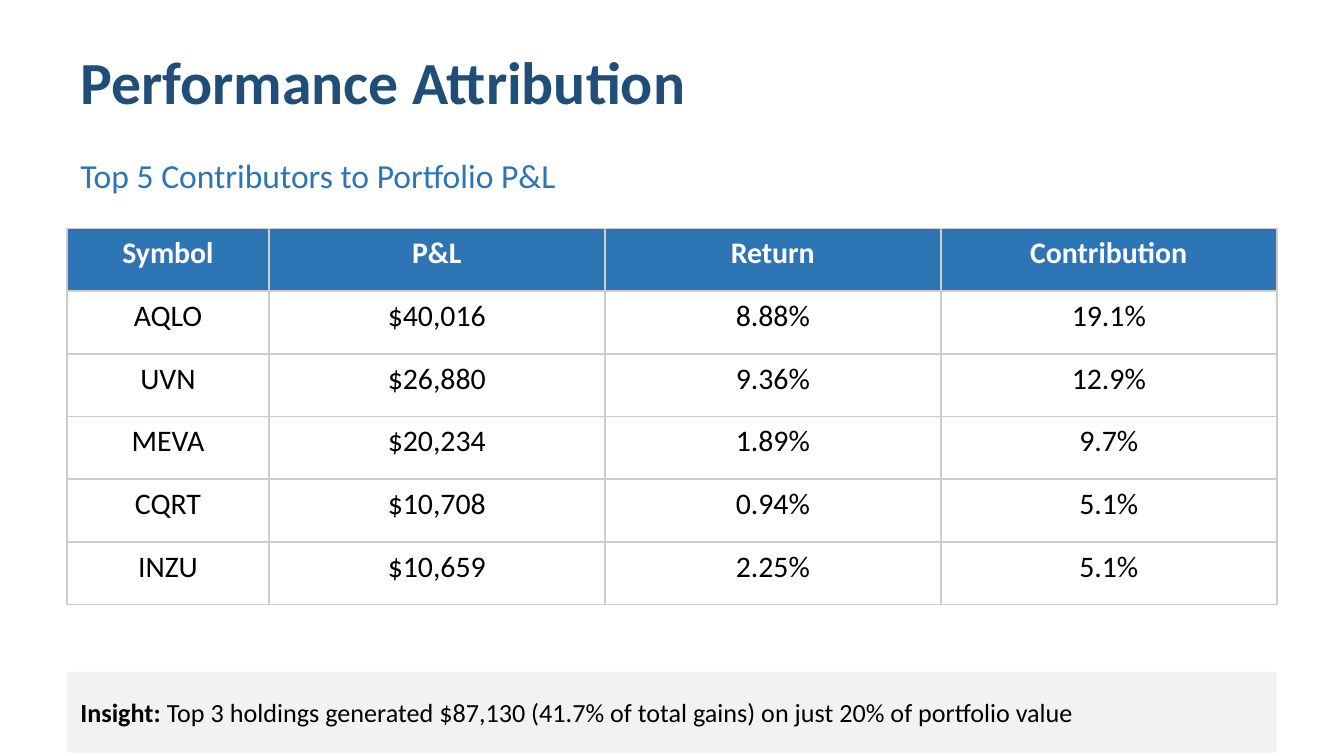
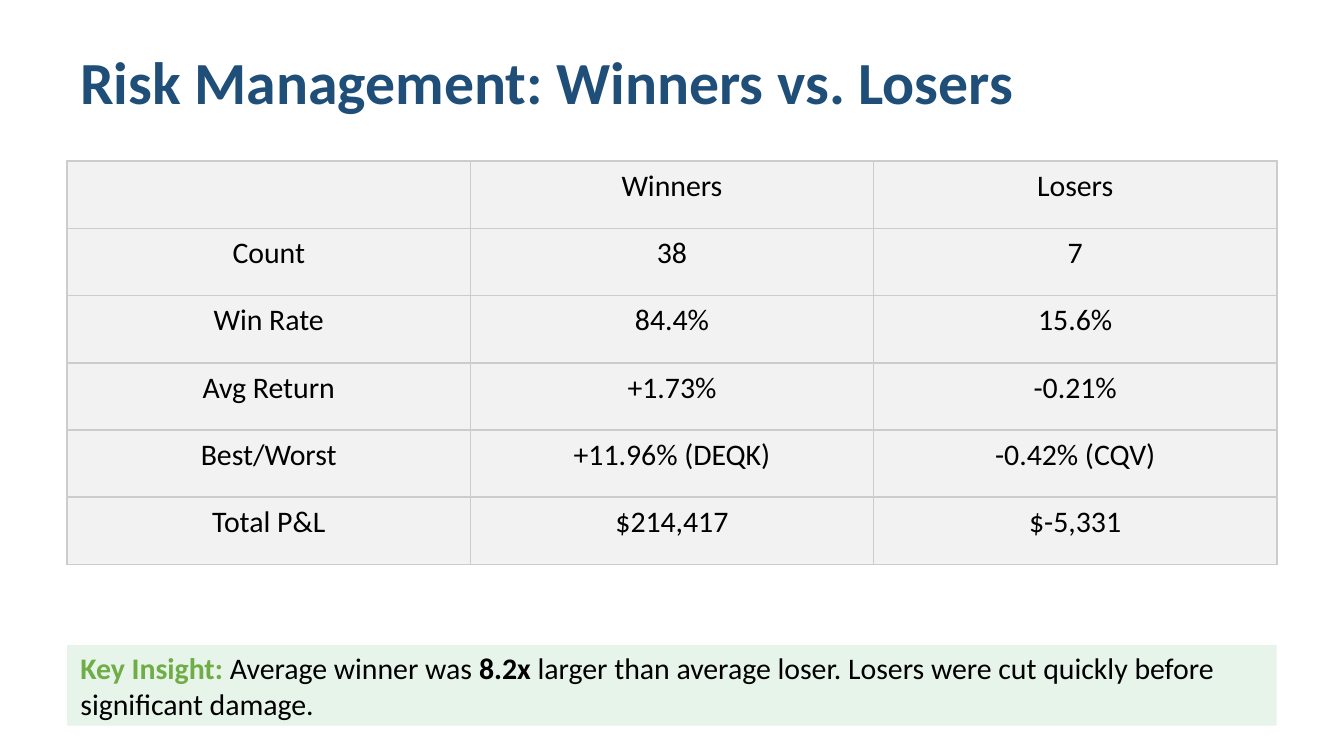
from lxml import etree
from pptx import Presentation
from pptx.dml.color import RGBColor
from pptx.enum.shapes import MSO_SHAPE
from pptx.enum.text import MSO_ANCHOR, PP_ALIGN
from pptx.oxml.ns import qn
from pptx.util import Pt

RECT = MSO_SHAPE.RECTANGLE
MIDDLE = MSO_ANCHOR.MIDDLE
LEFT, CENTER = PP_ALIGN.LEFT, PP_ALIGN.CENTER

FONT = "Calibri"
COLORS = {
    "navy": "1F4E78",
    "blue": "2E75B5",
    "green": "70AD47",
    "mint": "E6F4EA",
    "gray": "F2F2F2",
    "rule": "CCCCCC",
    "black": "000000",
    "white": "FFFFFF",
}
EDGE, WIDTH = 36, 648

GAINS = [
    ["Symbol", "P&L", "Return", "Contribution"],
    ["AQLO", "$40,016", "8.88%", "19.1%"],
    ["UVN", "$26,880", "9.36%", "12.9%"],
    ["MEVA", "$20,234", "1.89%", "9.7%"],
    ["CQRT", "$10,708", "0.94%", "5.1%"],
    ["INZU", "$10,659", "2.25%", "5.1%"],
]
RISKS = [
    ["", "Winners", "Losers"],
    ["Count", "38", "7"],
    ["Win Rate", "84.4%", "15.6%"],
    ["Avg Return", "+1.73%", "-0.21%"],
    ["Best/Worst", "+11.96% (DEQK)", "-0.42% (CQV)"],
    ["Total P&L", "$214,417", "$-5,331"],
]


def tint(name):
    return RGBColor.from_string(COLORS[name])


def write(frame, text, size=16, color="black", bold=False, align=LEFT):
    """Fill the frame with a string, or with (string, format) runs."""
    para = frame.paragraphs[0]
    para.alignment = align
    para.font.size = Pt(size)
    runs = [(text, {})] if isinstance(text, str) else text
    for part, style in runs:
        if not part:
            continue
        run = para.add_run()
        run.text = part
        font = run.font
        font.name = FONT
        font.size = Pt(size)
        font.bold = style.get("bold", bold)
        font.color.rgb = tint(style.get("color", color))


def border(cell, color="rule", width=1):
    props = cell._tc.get_or_add_tcPr()
    for side in ("a:lnL", "a:lnR", "a:lnT", "a:lnB"):
        line = etree.SubElement(props, qn(side), w=str(Pt(width)))
        fill = etree.SubElement(line, qn("a:solidFill"))
        etree.SubElement(fill, qn("a:srgbClr"), val=COLORS[color])


class Deck:
    def __init__(self):
        self.prs = Presentation()
        self.prs.slide_width = Pt(720)
        self.prs.slide_height = Pt(405)
        self.slide = None

    def page(self, title):
        blank = self.prs.slide_layouts[6]
        self.slide = self.prs.slides.add_slide(blank)
        self.label(title, 21.6, 43.2, size=32, color="navy", bold=True)

    def label(self, text, top, height, **style):
        box = self.slide.shapes.add_textbox(
            Pt(EDGE), Pt(top), Pt(WIDTH), Pt(height))
        frame = box.text_frame
        frame.word_wrap = True
        frame.vertical_anchor = MIDDLE
        write(frame, text, **style)

    def grid(self, rows, top, height, widths, fill=None, head=None):
        """Draw a ruled table; head is the fill of a bold white first row."""
        table = self.slide.shapes.add_table(
            len(rows), len(widths), Pt(EDGE), Pt(top),
            Pt(WIDTH), Pt(height)).table
        table.first_row = table.horz_banding = False
        for col, width in zip(table.columns, widths):
            col.width = Pt(width)
        for r, row in enumerate(rows):
            table.rows[r].height = Pt(height / len(rows))
            top_row = head is not None and r == 0
            shade = head if top_row else fill
            color = "white" if top_row else "black"
            for c, text in enumerate(row):
                cell = table.cell(r, c)
                border(cell)
                if shade:
                    cell.fill.solid()
                    cell.fill.fore_color.rgb = tint(shade)
                else:
                    cell.fill.background()
                write(cell.text_frame, text, color=color, bold=top_row,
                      align=CENTER)

    def note(self, runs, top, fill, size):
        band = self.slide.shapes.add_shape(
            RECT, Pt(EDGE), Pt(top), Pt(WIDTH), Pt(43.2))
        band.shadow.inherit = False
        band.fill.solid()
        band.fill.fore_color.rgb = tint(fill)
        band.line.fill.background()
        frame = band.text_frame
        frame.word_wrap = True
        frame.vertical_anchor = MIDDLE
        write(frame, runs, size=size)


def main():
    deck = Deck()

    deck.page("Performance Attribution")
    deck.label("Top 5 Contributors to Portfolio P&L", 79.2, 28.8,
               size=18, color="blue")
    deck.grid(GAINS, 122.4, 201.6, [108] + [180] * 3, head="blue")
    deck.note([
        ("Insight: ", {"bold": True}),
        ("Top 3 holdings generated $87,130 (41.7% of total gains) "
         "on just 20% of portfolio value", {}),
    ], 360, "gray", 14)

    deck.page("Risk Management: Winners vs. Losers")
    deck.grid(RISKS, 86.4, 216, [216] * 3, fill="gray")
    deck.note([
        ("Key Insight: ", {"bold": True, "color": "green"}),
        ("Average winner was ", {}),
        ("8.2x", {"bold": True}),
        (" larger than average loser. Losers were cut quickly before "
         "significant damage.", {}),
    ], 345.6, "mint", 16)

    deck.prs.save("out.pptx")


if __name__ == "__main__":
    main()
